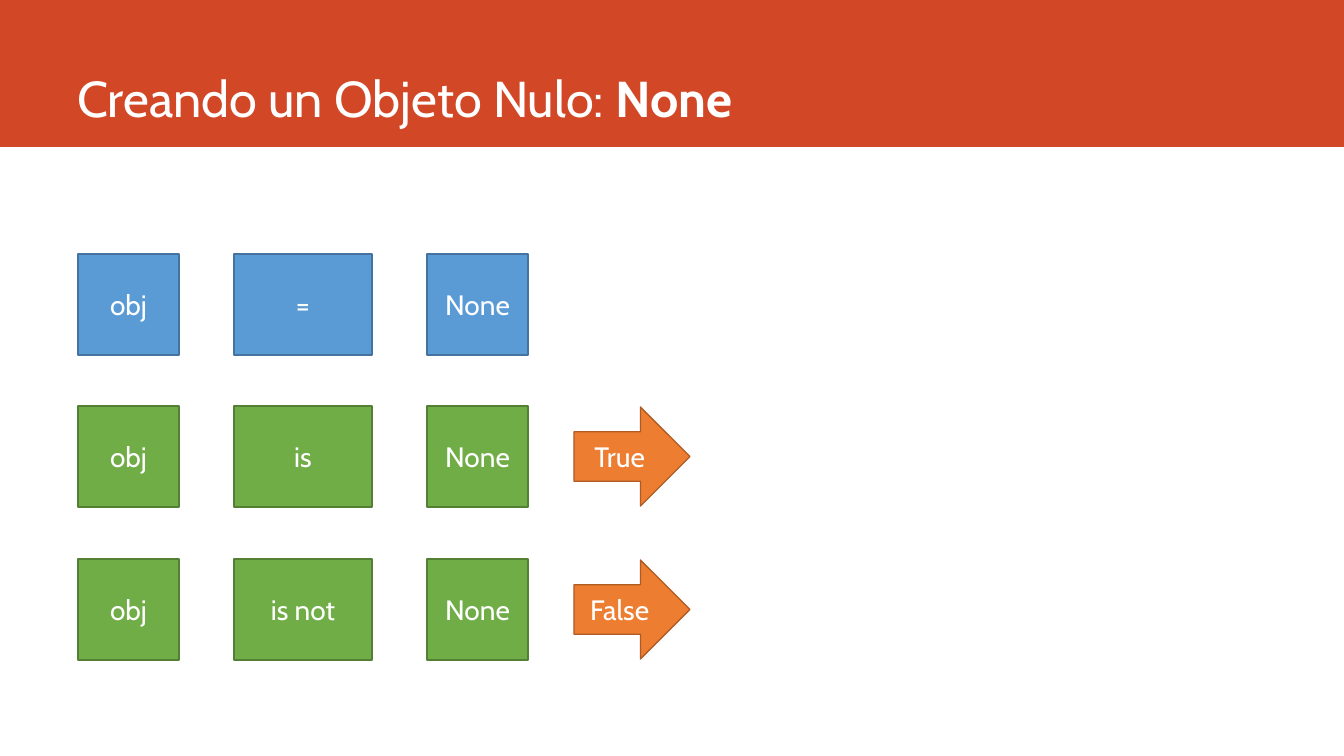
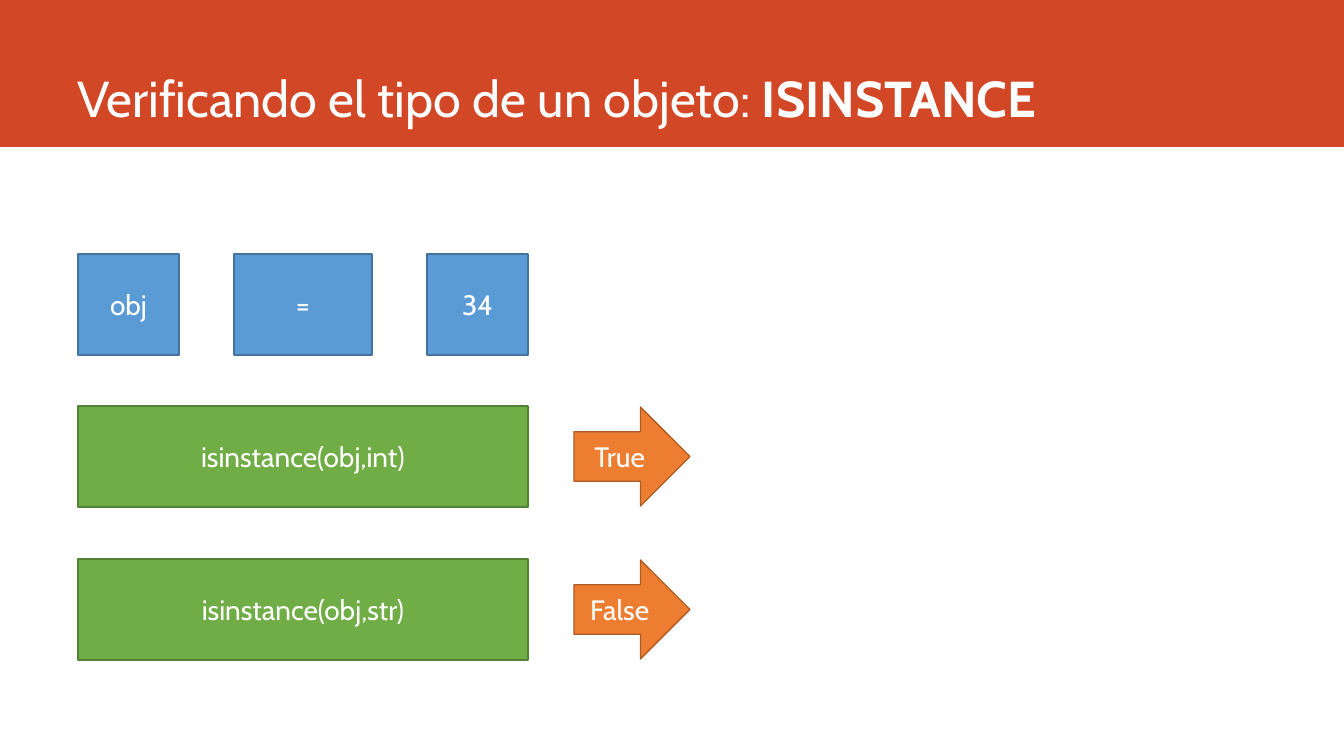
import pptx
import pptx.util
from pptx.dml.color import RGBColor
from pptx.enum.shapes import MSO_SHAPE
from pptx.enum.text import MSO_ANCHOR, MSO_AUTO_SIZE, PP_ALIGN

WHITE = RGBColor(0xFF, 0xFF, 0xFF)
BAND_RED = RGBColor(0xD2, 0x47, 0x26)
# Each pair holds a fill and its outline
BLUE = RGBColor(0x5B, 0x9B, 0xD5), RGBColor(0x43, 0x73, 0x9E)
GREEN = RGBColor(0x70, 0xAD, 0x47), RGBColor(0x53, 0x80, 0x35)
ORANGE = RGBColor(0xED, 0x7D, 0x31), RGBColor(0xAF, 0x5C, 0x24)

PX = pptx.util.Inches(1) / 100.8
SLIDE_WIDTH, SLIDE_HEIGHT = 1344, 756
LEFT, GAP, BOX_HEIGHT = 78, 55, 101
COLUMN_WIDTHS = 101, 138, 101
EXPRESSION_WIDTH = sum(COLUMN_WIDTHS) + 2 * GAP
ROW_TOPS = 254, 406, 559
ARROW_LEFT, ARROW_WIDTH, ARROW_HEIGHT = 574, 116, 99

SLIDES = [
    ("Creando un Objeto Nulo: ", "None", [
        (["obj", "=", "None"], BLUE, None),
        (["obj", "is", "None"], GREEN, "True"),
        (["obj", "is not", "None"], GREEN, "False"),
    ]),
    ("Verificando el tipo de un objeto: ", "ISINSTANCE", [
        (["obj", "=", "34"], BLUE, None),
        (["isinstance(obj,int)"], GREEN, "True"),
        (["isinstance(obj,str)"], GREEN, "False"),
    ]),
]


def px(*lengths):
    """Turn pixel lengths into EMU."""
    return [pptx.util.Emu(round(length * PX)) for length in lengths]


def apply(target, values):
    for name, value in values.items():
        setattr(target, name, value)


class Deck:
    TITLE_FONT = {"name": "Cabin", "size": pptx.util.Pt(36)}
    BOX_FONT = {"name": "Cabin", "size": pptx.util.Pt(20), "bold": False}
    TITLE_FRAME = {"vertical_anchor": MSO_ANCHOR.BOTTOM, "word_wrap": True,
                   "auto_size": MSO_AUTO_SIZE.NONE}
    BOX_FRAME = {"vertical_anchor": MSO_ANCHOR.MIDDLE, "word_wrap": True}

    def __init__(self):
        self.presentation = pptx.Presentation()
        width, height = px(SLIDE_WIDTH, SLIDE_HEIGHT)
        apply(self.presentation, {"slide_width": width, "slide_height": height})
        self.layout = self.presentation.slide_layouts.get_by_name("Title Only")
        self.slide = None

    def add_slide(self, topic, keyword):
        first = self.slide is None
        self.slide = self.presentation.slides.add_slide(self.layout)
        if first:
            self.move_band_to_layout()
        self.fill_title(topic, keyword)

    def move_band_to_layout(self):
        """Draw the band once, behind everything on the shared layout."""
        band = self.add_shape(MSO_SHAPE.RECTANGLE, 0, 0, SLIDE_WIDTH, 147, BAND_RED)
        self.layout.shapes.element.insert(2, band.element)

    def fill_title(self, topic, keyword):
        title = self.slide.shapes.title
        apply(title, dict(zip(("left", "top", "width", "height"),
                              px(67, 0, 1185, 133))))
        apply(title.text_frame, self.TITLE_FRAME)
        paragraph = title.text_frame.paragraphs[0]
        paragraph.alignment = PP_ALIGN.LEFT
        for text, bold in ((topic, False), (keyword, True)):
            self.add_run(paragraph, text, {**self.TITLE_FONT, "bold": bold})

    def add_run(self, paragraph, text, font):
        run = paragraph.add_run()
        run.text = text
        apply(run.font, font)
        run.font.color.rgb = WHITE

    def add_shape(self, preset, left, top, width, height, fill, outline=None):
        shape = self.slide.shapes.add_shape(preset, *px(left, top, width, height))
        shape.shadow.inherit = False
        shape.fill.solid()
        shape.fill.fore_color.rgb = fill
        if outline is None:
            shape.line.fill.background()
        else:
            shape.line.color.rgb = outline
            shape.line.width = pptx.util.Pt(1)
        return shape

    def add_label(self, preset, text, left, top, width, height, colors):
        shape = self.add_shape(preset, left, top, width, height, *colors)
        apply(shape.text_frame, self.BOX_FRAME)
        paragraph = shape.text_frame.paragraphs[0]
        paragraph.alignment = PP_ALIGN.CENTER
        self.add_run(paragraph, text, self.BOX_FONT)

    def add_expression(self, top, tokens, colors, result):
        """Add a row of boxes and, if there is a result, its arrow."""
        widths = COLUMN_WIDTHS if len(tokens) > 1 else [EXPRESSION_WIDTH]
        left = LEFT
        for token, width in zip(tokens, widths):
            self.add_label(MSO_SHAPE.RECTANGLE, token, left, top, width,
                           BOX_HEIGHT, colors)
            left += width + GAP
        if result:
            arrow_top = top + (BOX_HEIGHT - ARROW_HEIGHT) // 2
            self.add_label(MSO_SHAPE.RIGHT_ARROW, result, ARROW_LEFT, arrow_top,
                           ARROW_WIDTH, ARROW_HEIGHT, ORANGE)


def main():
    deck = Deck()
    for topic, keyword, expressions in SLIDES:
        deck.add_slide(topic, keyword)
        for top, expression in zip(ROW_TOPS, expressions):
            deck.add_expression(top, *expression)
    deck.presentation.save("out.pptx")


if __name__ == "__main__":
    main()
